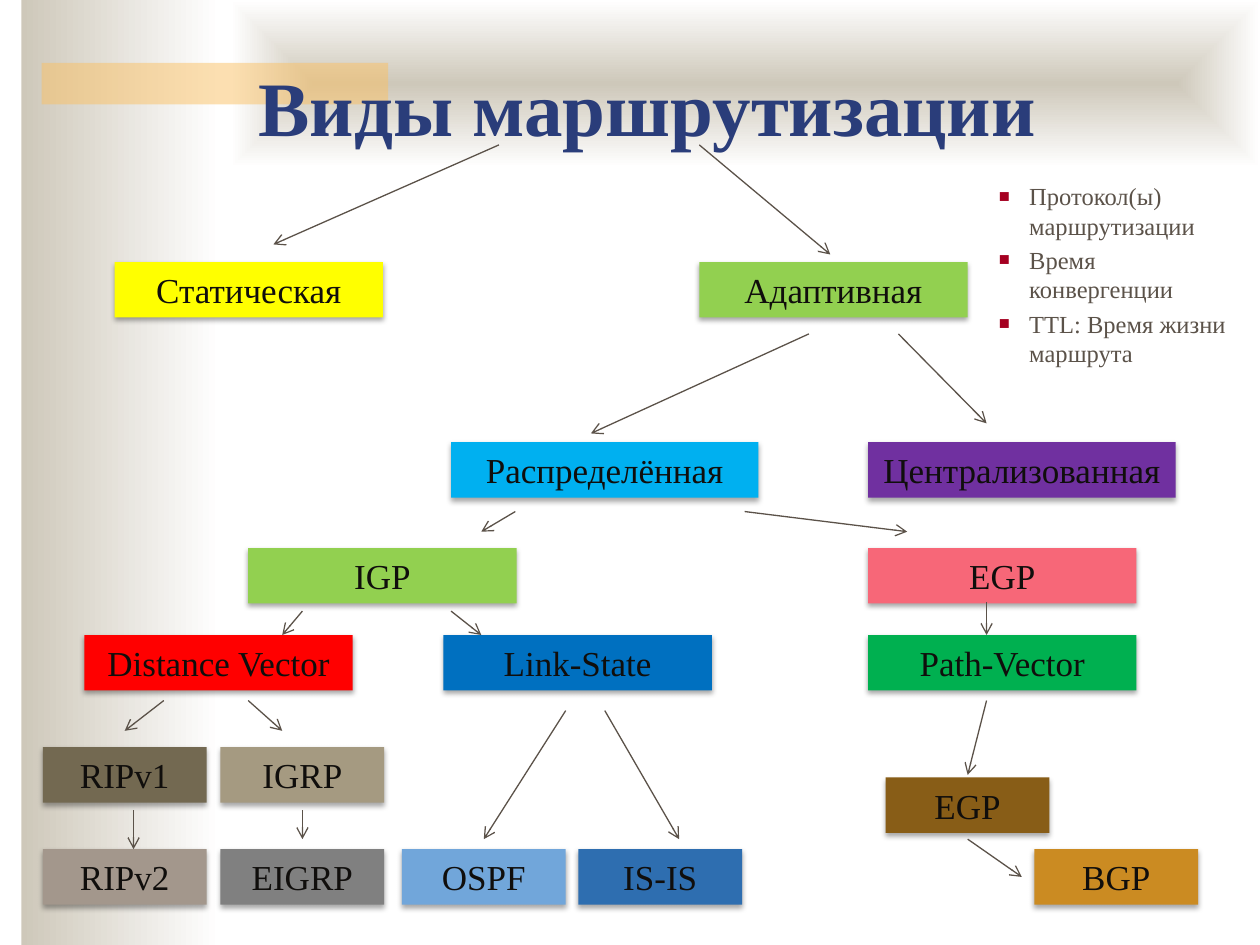
from lxml.etree import SubElement
from pptx import Presentation
from pptx.dml.color import RGBColor
from pptx.enum.shapes import MSO_CONNECTOR, MSO_SHAPE
from pptx.enum.text import MSO_ANCHOR, PP_ALIGN
from pptx.oxml.ns import qn
from pptx.util import Inches, Pt

FONT = "Times New Roman"
NAVY = RGBColor(0x2A, 0x3D, 0x7A)
INK = RGBColor(0x10, 0x0E, 0x0C)
GREY = RGBColor(0x5B, 0x52, 0x49)
SAND = RGBColor(0xCE, 0xC8, 0xBA)
WHITE = RGBColor(0xFF, 0xFF, 0xFF)
AMBER = RGBColor(0xFA, 0xC1, 0x64)
YELLOW = RGBColor(0xFF, 0xFF, 0x00)
LIME = RGBColor(0x92, 0xD0, 0x50)
SKY = RGBColor(0x00, 0xB0, 0xF0)
PURPLE = RGBColor(0x70, 0x30, 0xA0)
PINK = RGBColor(0xF7, 0x67, 0x78)
RED = RGBColor(0xFF, 0x00, 0x00)
BLUE = RGBColor(0x00, 0x70, 0xC0)
GREEN = RGBColor(0x00, 0xB0, 0x50)
OLIVE = RGBColor(0x73, 0x69, 0x51)
TAUPE = RGBColor(0xA3, 0x97, 0x8C)
KHAKI = RGBColor(0xA5, 0x9A, 0x81)
MID = RGBColor(0x80, 0x80, 0x80)
PALE = RGBColor(0x71, 0xA6, 0xDA)
STEEL = RGBColor(0x2E, 0x6E, 0xB0)
BROWN = RGBColor(0x88, 0x5D, 0x17)
OCHRE = RGBColor(0xCB, 0x8B, 0x22)

TITLE = "Виды маршрутизации"
NOTES = ["Протокол(ы) маршрутизации", "Время конвергенции", "TTL: Время жизни маршрута"]
SMALL, MEDIUM, LARGE, HIGH = 1.3, 2.13, 2.44, 0.44
ROWS = [
    (2.08, MEDIUM, [(0.91, "Статическая", YELLOW), (5.55, "Адаптивная", LIME)]),
    (3.51, LARGE, [(3.58, "Распределённая", SKY), (6.89, "Централизованная", PURPLE)]),
    (4.35, MEDIUM, [(1.97, "IGP", LIME), (6.89, "EGP", PINK)]),
    (5.04, MEDIUM, [(0.67, "Distance Vector", RED), (3.52, "Link-State", BLUE),
                    (6.89, "Path-Vector", GREEN)]),
    (5.93, SMALL, [(0.34, "RIPv1", OLIVE), (1.75, "IGRP", KHAKI)]),
    (6.17, SMALL, [(7.03, "EGP", BROWN)]),
    (6.74, SMALL, [(0.34, "RIPv2", TAUPE), (1.75, "EIGRP", MID), (3.19, "OSPF", PALE),
                   (4.59, "IS-IS", STEEL), (8.21, "BGP", OCHRE)]),
]
ARROWS = [
    (3.96, 1.15, 2.17, 1.94), (5.55, 1.15, 6.59, 2.02),
    (6.42, 2.65, 4.69, 3.44), (7.13, 2.65, 7.83, 3.36),
    (4.09, 4.06, 3.82, 4.22), (5.91, 4.06, 7.2, 4.22),
    (2.4, 4.85, 2.24, 5.04), (3.58, 4.85, 3.82, 5.04), (7.83, 4.78, 7.83, 5.04),
    (1.3, 5.56, 0.99, 5.8), (1.97, 5.56, 2.24, 5.8),
    (4.49, 5.64, 3.84, 6.66), (4.8, 5.64, 5.39, 6.66), (7.83, 5.56, 7.68, 6.15),
    (1.06, 6.43, 1.06, 6.74), (2.4, 6.43, 2.4, 6.66), (7.68, 6.66, 8.11, 6.96),
]

prs = Presentation()
prs.slide_width, prs.slide_height = Inches(10), Inches(7.5)
slide = prs.slides.add_slide(prs.slide_layouts[5])
shapes = slide.shapes


def node(up, tag, **keys):
    return SubElement(up, qn(tag), {key: str(val) for key, val in keys.items()})


def write(shape, lines, size=20, color=INK, bold=False, align=PP_ALIGN.CENTER,
          anchor=MSO_ANCHOR.MIDDLE, wrap=True, gap=0):
    frame = shape.text_frame
    frame.word_wrap, frame.vertical_anchor = wrap, anchor
    frame.text = "\n".join(lines)
    for para in frame.paragraphs:
        para.alignment, para.space_before = align, Pt(gap)
        font = para.runs[0].font
        font.name, font.size, font.bold = FONT, Pt(size), bold
        font.color.rgb = color
    return frame


def block(x, y, wide, high, color=None):
    box = shapes.add_shape(MSO_SHAPE.RECTANGLE, *map(Inches, (x, y, wide, high)))
    if color is None:
        box.fill.gradient()
        for stop, tone in zip(box.fill.gradient_stops, (SAND, WHITE)):
            stop.color.rgb = tone
        box.fill.gradient_angle = 0
    else:
        box.fill.solid()
        box.fill.fore_color.rgb = color
    box.line.fill.background()
    box.shadow.inherit = False
    return box


def label(x, y, wide, text, color):
    box = block(x, y, wide, HIGH, color)
    glow = box._element.spPr.find(qn("a:effectLst"))
    shade = node(glow, "a:outerShdw", blurRad=Pt(3.1), dist=Pt(1.8), dir=5400000,
                 rotWithShape=0)
    node(node(shade, "a:srgbClr", val="000000"), "a:alpha", val=35000)
    write(box, [text], wrap=False)


def arrow(*ends):
    line = shapes.add_connector(MSO_CONNECTOR.STRAIGHT, *map(Inches, ends))
    line.line.color.rgb, line.line.width = GREY, Pt(0.75)
    props = line._element.spPr
    node(props.find(qn("a:ln")), "a:tailEnd", type="arrow")
    node(props, "a:effectLst")


block(0.17, 0, 1.58, 7.5)
panel = block(1.83, 0, 8.17, 1.33)
grad = panel._element.spPr.find(qn("a:gradFill"))
grad.remove(grad.find(qn("a:lin")))
route = node(grad, "a:path", path="rect")
node(route, "a:fillToRect", l=50000, t=50000, r=50000, b=50000)
strip = block(0.33, 0.5, 2.75, 0.33, AMBER)
node(strip._element.spPr.find(qn("a:solidFill"))[0], "a:alpha", val=50000)

title = shapes.title
title.left, title.top, title.width, title.height = map(Inches, (0.28, 0.36, 9.72, 1.1))
write(title, [TITLE], size=44, color=NAVY, bold=True).margin_bottom = Inches(0.19)
shapes._spTree.append(title._element)

for y, wide, items in ROWS:
    for x, text, color in items:
        label(x, y, wide, text, color)
for ends in ARROWS:
    arrow(*ends)

notes = shapes.add_textbox(*map(Inches, (7.83, 1.39, 2.05, 1.37)))
frame = write(notes, NOTES, size=14, color=GREY, align=PP_ALIGN.LEFT,
              anchor=MSO_ANCHOR.TOP, gap=2.8)
for para in frame.paragraphs:
    props = para._p.get_or_add_pPr()
    props.set("marL", str(Inches(0.24)))
    props.set("indent", str(-Inches(0.24)))
    node(node(props, "a:buClr"), "a:srgbClr", val="A50021")
    node(props, "a:buSzPct", val=75000)
    node(props, "a:buFont", typeface=FONT)
    node(props, "a:buChar", char="■")

prs.save("out.pptx")
